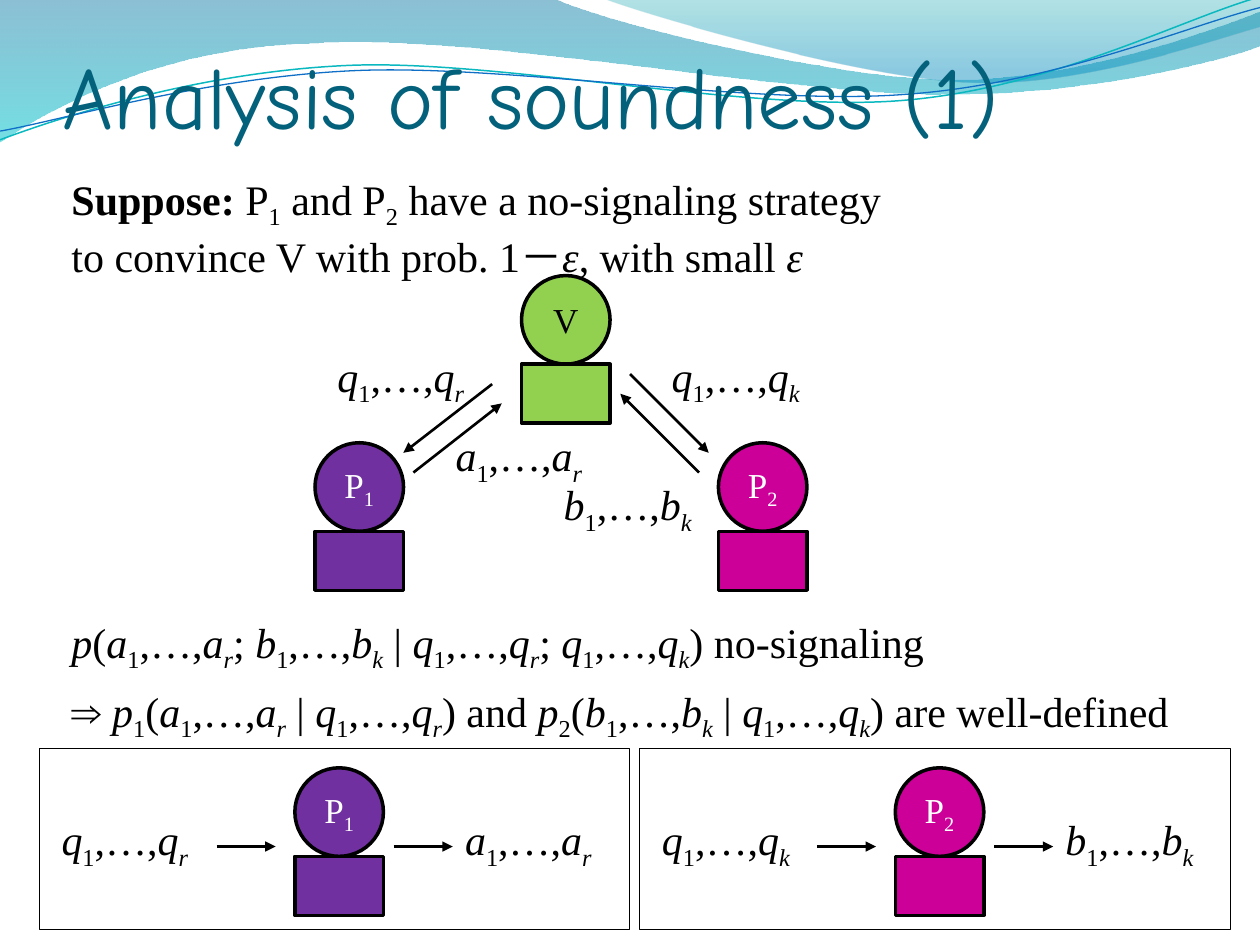
from pptx import Presentation
from pptx import util as u
from pptx.dml.color import RGBColor
from pptx.enum import shapes, text
from pptx.oxml.ns import qn
from lxml import etree

Pt = u.Pt
SERIF = "Times New Roman"
BLACK, WHITE = "000000", "FFFFFF"
GREEN, PURPLE, MAGENTA = "92D050", "7030A0", "CC0099"
HEAD = 50.6    # diameter of a head and width of a body
BODY = 33.75   # height of a body
LABEL_H = 36


def rgb(value):
    return RGBColor.from_string(value)


# ---- Rich text: lists of (text, style); b bold, i italic, s subscript ----
def sequence(letter, last):
    return [(letter, "i"), ("1", "s"), (",…,", ""), (letter, "i"), (last, "is")]


def indexed(letter, index, style=""):
    return [(letter, style), (index, "s")]


def write(paragraph, pieces, size, color, font=SERIF):
    for content, style in pieces:
        if content == "\n":
            paragraph.add_line_break()
            continue
        run = paragraph.add_run()
        run.text = content
        run.font.name, run.font.size = font, Pt(size)
        run.font.color.rgb = rgb(color)
        run.font.bold = "b" in style
        run.font.italic = "i" in style
        if "s" in style:
            run.font._element.set("baseline", "-25000")


def add_text(slide, x, y, w, pieces, h=LABEL_H):
    box = slide.shapes.add_textbox(Pt(x), Pt(y), Pt(w), Pt(h))
    box.text_frame.word_wrap = False
    box.text_frame.auto_size = text.MSO_AUTO_SIZE.SHAPE_TO_FIT_TEXT
    write(box.text_frame.paragraphs[0], pieces, 24, BLACK)


def add_title(slide, content):
    box = slide.shapes.add_textbox(Pt(36), Pt(-5.75), Pt(648), Pt(90))
    frame = box.text_frame
    frame.word_wrap = True
    frame.vertical_anchor = text.MSO_ANCHOR.BOTTOM
    frame.margin_left = frame.margin_right = frame.margin_bottom = 0
    write(frame.paragraphs[0], [(content, "")], 50, "04617B", "Comic Neue")


# ---- Shapes ----
def add_shape(parent, kind, x, y, w, h, fill=None, line_width=2):
    shape = parent.shapes.add_shape(kind, Pt(x), Pt(y), Pt(w), Pt(h))
    shape.shadow.inherit = False
    if fill:
        shape.fill.solid()
        shape.fill.fore_color.rgb = rgb(fill)
    else:
        shape.fill.background()
    shape.line.color.rgb = rgb(BLACK)
    shape.line.width = Pt(line_width)
    return shape


def add_person(slide, x, y, fill, name, color=WHITE):
    person = slide.shapes.add_group_shape()
    head = add_shape(person, shapes.MSO_SHAPE.OVAL, x, y, HEAD, HEAD, fill)
    add_shape(person, shapes.MSO_SHAPE.RECTANGLE, x, y + HEAD, HEAD, BODY, fill)
    frame = head.text_frame
    frame.word_wrap = False
    frame.vertical_anchor = text.MSO_ANCHOR.MIDDLE
    frame.paragraphs[0].alignment = text.PP_ALIGN.CENTER
    write(frame.paragraphs[0], name, 20, color)


def add_arrow(slide, x1, y1, x2, y2):
    arrow = slide.shapes.add_connector(
        shapes.MSO_CONNECTOR.STRAIGHT, Pt(x1), Pt(y1), Pt(x2), Pt(y2))
    arrow.line.color.rgb = rgb(BLACK)
    arrow.line.width = Pt(1.5)
    etree.SubElement(arrow.line._get_or_add_ln(), qn("a:tailEnd"), type="triangle")
    etree.SubElement(arrow._element.spPr, qn("a:effectLst"))


# ---- Waves: a segment is one line end or the three points of a Bézier ----
def add_wave(parent, start, segments, close):
    builder = parent.shapes.build_freeform(Pt(start[0]), Pt(start[1]))
    points = [(Pt(x), Pt(y)) for segment in segments for x, y in segment]
    builder.add_line_segments(points, close=close)
    wave = builder.convert_to_shape()
    wave.shadow.inherit = False
    # Join the points of each Bézier into one curve
    lines = iter(list(wave._element.spPr.iter(qn("a:lnTo"))))
    for segment in segments:
        first, *others = [next(lines) for point in segment]
        if others:
            first.tag = qn("a:cubicBezTo")
        for line in others:
            first.append(line[0])
            line.getparent().remove(line)
    return wave


def add_wave_area(parent, start, segments, stops):
    wave = add_wave(parent, start, segments, True)
    wave.line.fill.background()
    wave.fill.gradient()
    wave.fill.gradient_angle = 270
    for stop, (position, color, opacity) in zip(wave.fill.gradient_stops, stops):
        stop.position = position
        stop.color.rgb = rgb(color)
    colors = wave._element.spPr.iter(qn("a:srgbClr"))
    for element, (position, color, opacity) in zip(colors, stops):
        etree.SubElement(element, qn("a:alpha"), val=str(opacity * 1000))


def add_wave_line(parent, start, segments, color, width):
    wave = add_wave(parent, start, segments, False)
    wave.fill.background()
    wave.line.color.rgb = rgb(color)
    wave.line.width = Pt(width)


def add_waves(slide):
    add_wave_area(slide, (0, 0), [
        [(316.8, -0.7)],
        [(342.7, 12.2), (478.1, 45.4), (545.8, 45.4)],
        [(614.2, 45.4), (689.8, 18.7), (720, 6.5)],
        [(720.7, 25.9)],
        [(707.8, 31.7), (626.4, 54.7), (537.1, 54)],
        [(447.8, 54), (275, 20.2), (185, 24.5)],
        [(92.9, 25.9), (33.1, 59.8), (-0.7, 81.4)],
    ], [(0, "0074A1", 45), (1, "00C6CF", 55)])
    add_wave_area(slide, (344.9, -0.7), [
        [(366.5, 7.9), (491, 44.6), (553.7, 46.8)],
        [(616.3, 49.7), (691.9, 23), (720, 15.1)],
        [(720, 0)],
    ], [(0, "00A1A9", 30), (0.8, "008BBF", 45)])
    lines = slide.shapes.add_group_shape()
    add_wave_line(lines, (0, 79.9), [
        [(34.6, 67), (113.8, 41), (199.4, 37.4)],
        [(284.4, 33.8), (427, 64.1), (513.4, 57.6)],
        [(599.8, 51.1), (675.4, 10.8), (718.6, -1.4)],
    ], "0AB8BF", 0.85)
    add_wave_line(lines, (0, 74.9), [
        [(33.8, 69.1), (118.1, 43.9), (203.8, 40.3)],
        [(290.2, 36.7), (429.8, 60.5), (516.2, 54)],
        [(601.9, 48.2), (677.5, 15.1), (720, 4.3)],
    ], "0F6FC6", 0.75)


# ---- One prover on its own: questions in, answers out ----
def add_panel(slide, left, fill, name, questions, answers, label_width):
    add_person(slide, left + 146, 438.75, fill, name)
    for offset, label in ((5.6, questions), (236.2, answers)):
        add_text(slide, left + offset, 461.5, label_width, label)
    for offset in (101.25, 202.5):
        add_arrow(slide, left + offset, 483.75, left + offset + 33.75, 483.75)
    add_shape(slide, shapes.MSO_SHAPE.RECTANGLE, left, 427.5, 337.5, 103.5,
              line_width=0.5)


def main():
    prs = Presentation()
    prs.slide_width, prs.slide_height = Pt(720), Pt(540)
    slide = prs.slides.add_slide(prs.slide_layouts[6])
    add_waves(slide)
    add_title(slide, "Analysis of soundness (1)")

    p1, p2 = indexed("P", "1"), indexed("P", "2")
    q_r, q_k = sequence("q", "r"), sequence("q", "k")
    a_r, b_k = sequence("a", "r"), sequence("b", "k")
    bar = [(" | ", "")]
    semicolon = [("; ", "")]

    # Verifier and provers exchanging messages
    for ends in ((281.25, 219.5, 230.5, 258.75), (236.25, 270, 286.75, 230.5),
                 (360, 213.75, 405, 258.75), (399.5, 270, 354.5, 225)):
        add_arrow(slide, *ends)
    for x, y, width, label in ((185.75, 196.5, 89.3, q_r), (253.25, 242, 89.3, a_r),
                               (376.75, 196.5, 90.7, q_k), (315, 270, 90.7, b_k)):
        add_text(slide, x, y, width, label)
    add_person(slide, 298, 157.5, GREEN, [("V", "")], BLACK)
    add_person(slide, 180, 253, PURPLE, p1)
    add_person(slide, 410.5, 253, MAGENTA, p2)

    # Assumption and consequences
    add_text(slide, 33.75, 95.5, 484, [
        ("Suppose:", "b"), (" P", ""), ("1", "s"), (" and P", ""), ("2", "s"),
        (" have a no-signaling strategy", ""), ("\n", ""),
        ("to convince V with prob. 1－", ""), ("ε", "i"),
        (", with small ", ""), ("ε", "i")], h=65.5)
    add_text(slide, 33.75, 348.5, 514, [
        ("p", "i"), ("(", ""), *a_r, *semicolon, *b_k, *bar,
        *q_r, *semicolon, *q_k, (") no-signaling", "")])
    add_text(slide, 33.75, 388, 664, [
        ("⇒ ", ""), *indexed("p", "1", "i"), ("(", ""), *a_r, *bar, *q_r,
        (") and ", ""), *indexed("p", "2", "i"), ("(", ""), *b_k, *bar, *q_k,
        (") are well-defined", "")])

    add_panel(slide, 22.5, PURPLE, p1, q_r, a_r, 89.3)
    add_panel(slide, 365.6, MAGENTA, p2, q_k, b_k, 90.7)
    prs.save("out.pptx")


if __name__ == "__main__":
    main()
